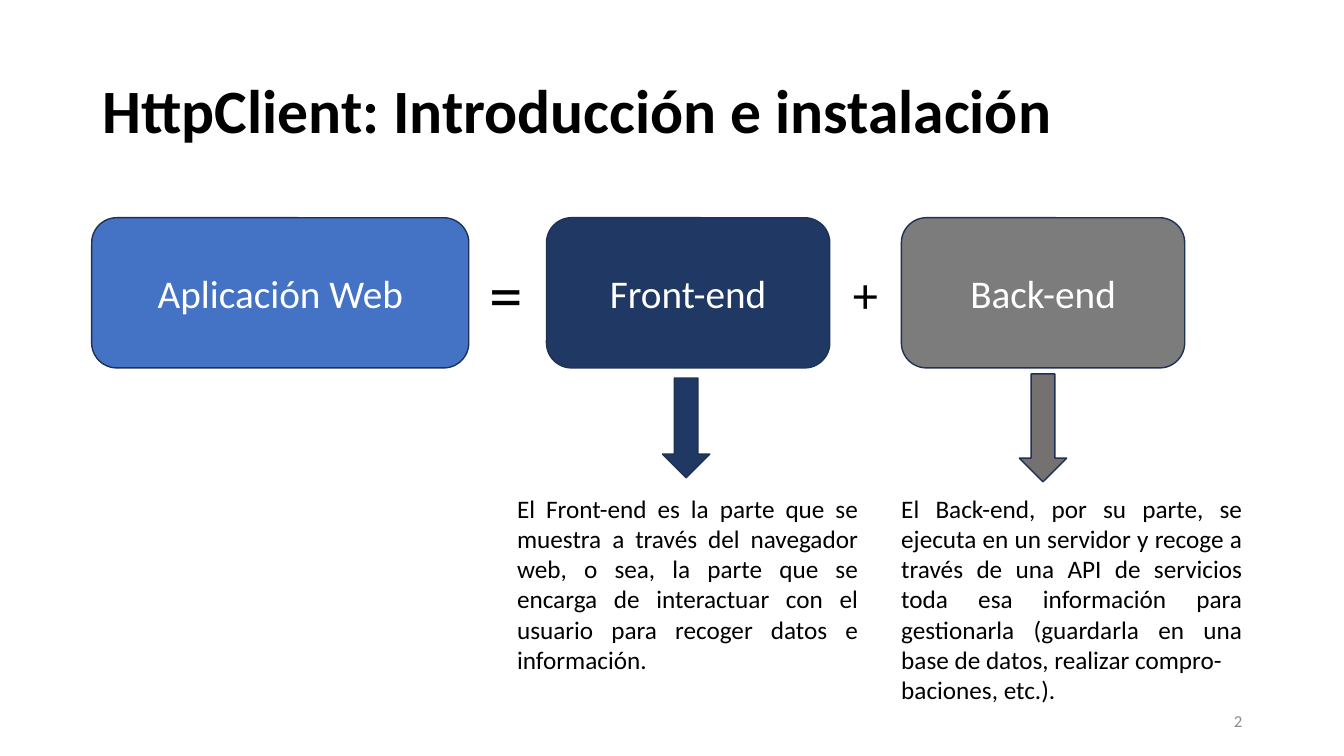
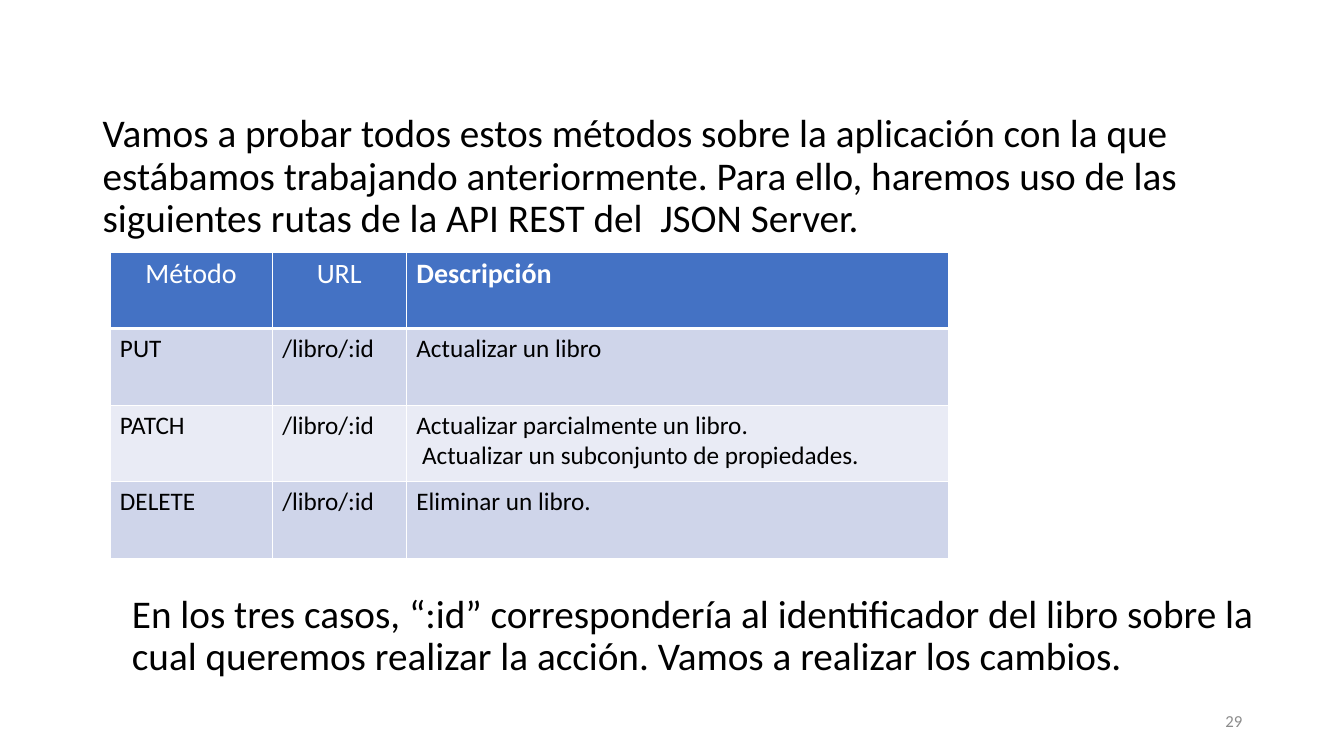
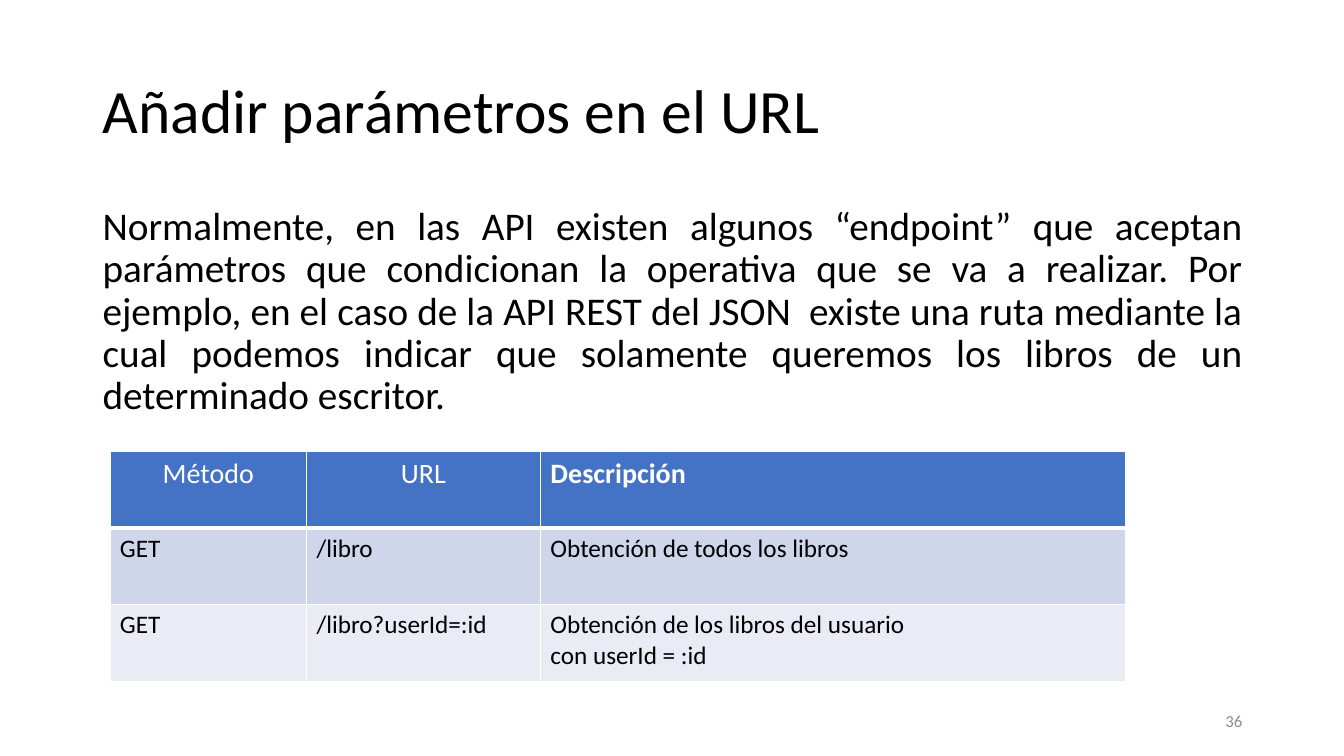
from lxml.etree import SubElement
from pptx import Presentation
from pptx.dml.color import RGBColor
from pptx.enum.shapes import MSO_SHAPE
from pptx.enum.text import MSO_ANCHOR, MSO_AUTO_SIZE, PP_ALIGN
from pptx.oxml.ns import qn
from pptx.util import Pt

PX = 9144  # EMU per px, at 100 px to the inch
FONT = "Calibri"
BLACK = RGBColor(0x00, 0x00, 0x00)
WHITE = RGBColor(0xFF, 0xFF, 0xFF)
GRAY = RGBColor(0x8C, 0x8C, 0x8C)
BLUE = RGBColor(0x44, 0x72, 0xC4)
NAVY = RGBColor(0x20, 0x38, 0x64)
OUTLINE = RGBColor(0x1E, 0x32, 0x56)
BACK_GRAY = RGBColor(0x7C, 0x7C, 0x7C)
ARROW_GRAY = RGBColor(0x76, 0x71, 0x71)
BANDS = [RGBColor(0xCF, 0xD5, 0xEA), RGBColor(0xE9, 0xEB, 0xF5)]

LEFT, WIDTH = 92, 1150
ROW_HEIGHT = 76
BODY = {"size": 28, "line_spacing": 0.9, "before": 10}


def write(frame, text, size=18, color=BLACK, bold=False, align=PP_ALIGN.LEFT,
          line_spacing=1.0, before=0, anchor=MSO_ANCHOR.TOP, wrap=True, grow=False):
    """Fill a text frame, one paragraph for each line of text."""
    frame.word_wrap = wrap
    frame.vertical_anchor = anchor
    if grow:
        frame.auto_size = MSO_AUTO_SIZE.SHAPE_TO_FIT_TEXT
    for index, line in enumerate(text.split("\n")):
        para = frame.add_paragraph() if index else frame.paragraphs[0]
        para.alignment = align
        para.line_spacing = line_spacing
        para.space_before = Pt(before)
        span = para.add_run()
        span.text = line
        span.font.name = FONT
        span.font.size = Pt(size)
        span.font.bold = bold
        span.font.color.rgb = color


def set_borders(cell, **widths):
    """Draw white cell borders; widths in points are keyed by L, R, T and B."""
    properties = cell._tc.get_or_add_tcPr()
    for side, width in widths.items():
        line = SubElement(properties, qn(f"a:ln{side}"), w=str(Pt(width)))
        fill = SubElement(line, qn("a:solidFill"))
        SubElement(fill, qn("a:srgbClr"), val=str(WHITE))


deck = Presentation()
deck.slide_width, deck.slide_height = 1333 * PX, 750 * PX

# Titles and page numbers
pages = []
for number, title, bold in [
    (2, "HttpClient: Introducción e instalación", True),
    (29, None, False),
    (36, "Añadir parámetros en el URL", False),
]:
    page = deck.slides.add_slide(deck.slide_layouts[6])
    pages.append(page)
    if title:
        box = page.shapes.add_textbox(LEFT * PX, 40 * PX, WIDTH * PX, 145 * PX)
        write(box.text_frame, title, size=44, bold=bold, line_spacing=0.9,
              anchor=MSO_ANCHOR.MIDDLE)
    box = page.shapes.add_textbox(942 * PX, 695 * PX, 300 * PX, 40 * PX)
    write(box.text_frame, str(number), size=12, color=GRAY, align=PP_ALIGN.RIGHT,
          anchor=MSO_ANCHOR.MIDDLE)

intro_page, methods_page, parameters_page = pages

# Web application = front-end + back-end
for preset, left, top, width, height, color, label in [
    (MSO_SHAPE.ROUNDED_RECTANGLE, 91, 216, 374, 149, BLUE, "Aplicación Web"),
    (MSO_SHAPE.ROUNDED_RECTANGLE, 542, 216, 281, 149, NAVY, "Front-end"),
    (MSO_SHAPE.ROUNDED_RECTANGLE, 894, 216, 281, 149, BACK_GRAY, "Back-end"),
    (MSO_SHAPE.DOWN_ARROW, 657, 375, 47, 99, NAVY, None),
    (MSO_SHAPE.DOWN_ARROW, 1011, 371, 47, 107, ARROW_GRAY, None),
]:
    shape = intro_page.shapes.add_shape(preset, left * PX, top * PX, width * PX, height * PX)
    shape.shadow.inherit = False
    shape.fill.solid()
    shape.fill.fore_color.rgb = color
    shape.line.color.rgb = OUTLINE
    shape.line.width = Pt(1)
    if label:
        write(shape.text_frame, label, size=28, color=WHITE, align=PP_ALIGN.CENTER,
              anchor=MSO_ANCHOR.MIDDLE)

# Free text
for page, left, top, width, height, text, style in [
    (intro_page, 476, 245, 54, 91, "=", {"size": 48, "wrap": False, "grow": True}),
    (intro_page, 836, 256, 45, 71, "+", {"size": 36, "wrap": False, "grow": True}),
    (intro_page, 503, 484, 358, 192,
     "El Front-end es la parte que se muestra a través del navegador web, o sea, "
     "la parte que se encarga de interactuar con el usuario para recoger datos e "
     "información.", {"align": PP_ALIGN.JUSTIFY, "grow": True}),
    (intro_page, 884, 484, 358, 222,
     "El Back-end, por su parte, se ejecuta en un servidor y recoge a través de una "
     "API de servicios toda esa información para gestionarla (guardarla en una base "
     "de datos, realizar compro-\nbaciones, etc.).",
     {"align": PP_ALIGN.JUSTIFY, "grow": True}),
    (methods_page, LEFT, 108, WIDTH, 572,
     "Vamos a probar todos estos métodos sobre la aplicación con la que estábamos "
     "trabajando anteriormente. Para ello, haremos uso de las siguientes rutas de la "
     "API REST del  JSON Server.", BODY),
    (methods_page, 121, 585, 1191, 95,
     "En los tres casos, “:id” correspondería al identificador del libro sobre la cual "
     "queremos realizar la acción. Vamos a realizar los cambios.", BODY | {"grow": True}),
    (parameters_page, LEFT, 200, WIDTH, 476,
     "Normalmente, en las API existen algunos “endpoint” que aceptan parámetros que "
     "condicionan la operativa que se va a realizar. Por ejemplo, en el caso de la API "
     "REST del JSON  existe una ruta mediante la cual podemos indicar que solamente "
     "queremos los libros de un determinado escritor.",
     BODY | {"align": PP_ALIGN.JUSTIFY}),
]:
    box = page.shapes.add_textbox(left * PX, top * PX, width * PX, height * PX)
    write(box.text_frame, text, **style)

# Route tables
HEADER = ("Método", "URL", "Descripción")
for page, top, widths, routes in [
    (methods_page, 250, (161, 133, 538), [
        ("PUT", "/libro/:id", "Actualizar un libro"),
        ("PATCH", "/libro/:id",
         "Actualizar parcialmente un libro.\n Actualizar un subconjunto de propiedades."),
        ("DELETE", "/libro/:id", "Eliminar un libro."),
    ]),
    (parameters_page, 448, (195, 232, 580), [
        ("GET", "/libro", "Obtención de todos los libros"),
        ("GET", "/libro?userId=:id",
         "Obtención de los libros del usuario\ncon userId = :id"),
    ]),
]:
    rows = [HEADER, *routes]
    table = page.shapes.add_table(len(rows), len(widths), 109 * PX, top * PX,
                                  sum(widths) * PX, len(rows) * ROW_HEIGHT * PX).table
    for column, width in zip(table.columns, widths):
        column.width = width * PX
    for row, texts in enumerate(rows):
        for column, text in enumerate(texts):
            cell = table.cell(row, column)
            set_borders(cell, L=1, R=1, T=3 if row == 1 else 1, B=3 if row == 0 else 1)
            cell.fill.solid()
            if row == 0:
                cell.fill.fore_color.rgb = BLUE
                last = column == len(widths) - 1
                write(cell.text_frame, text, size=20, color=WHITE, bold=last,
                      align=PP_ALIGN.LEFT if last else PP_ALIGN.CENTER)
            else:
                cell.fill.fore_color.rgb = BANDS[(row - 1) % 2]
                write(cell.text_frame, text)

deck.save("out.pptx")
